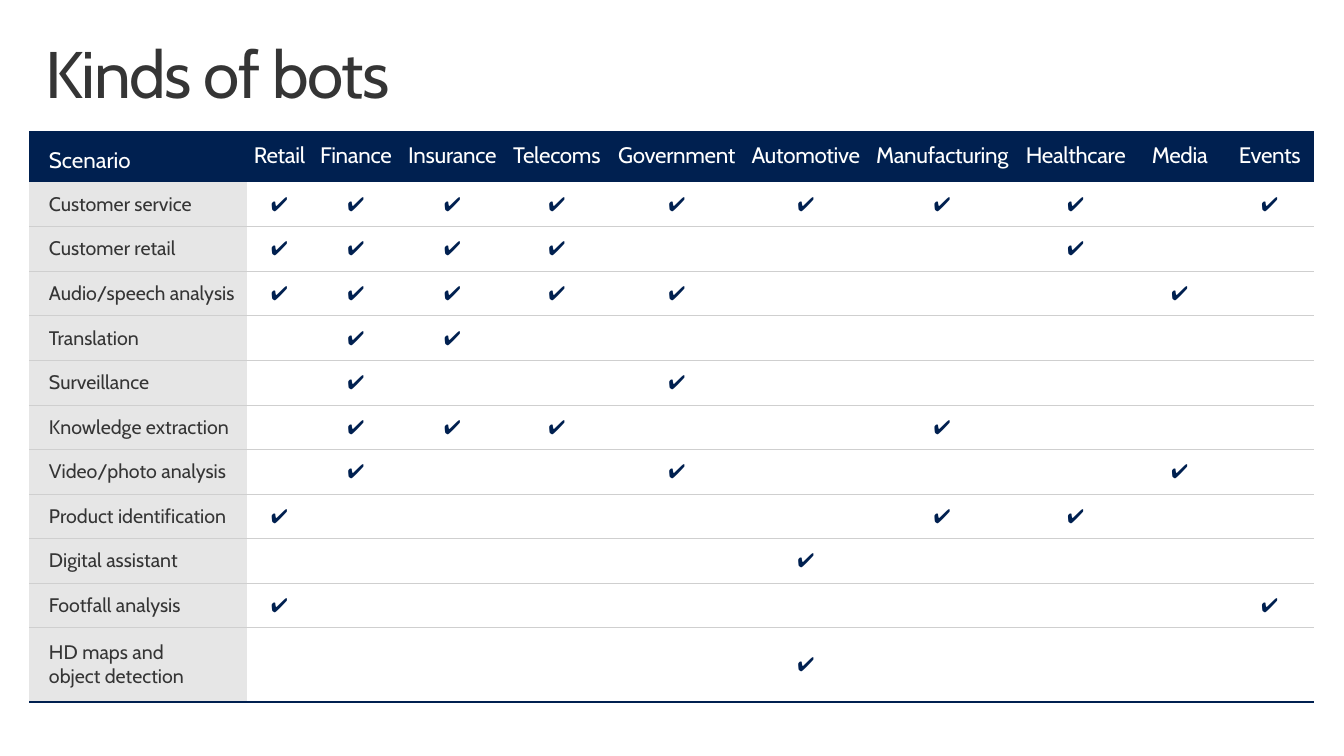
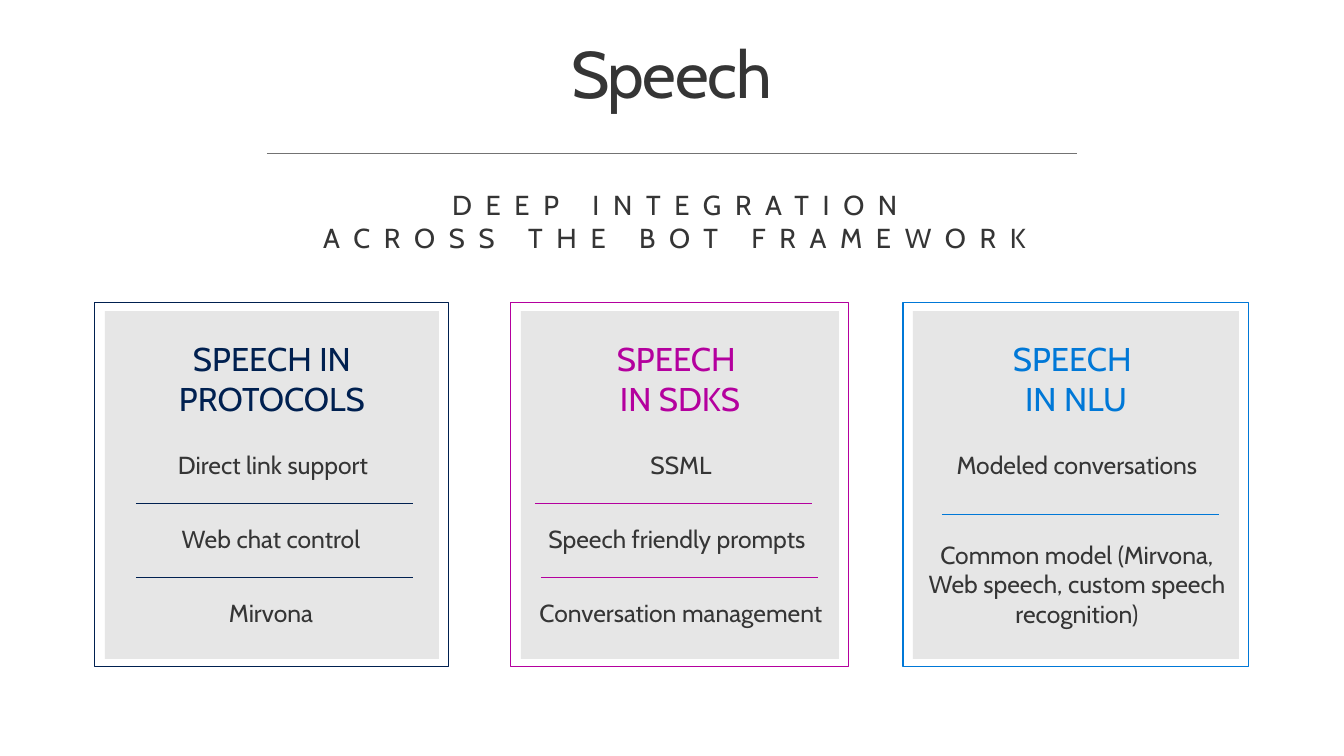
from dataclasses import dataclass

from lxml.etree import SubElement
from pptx import Presentation
from pptx.dml.color import RGBColor
from pptx.enum.shapes import MSO_CONNECTOR as Connector, MSO_SHAPE as Preset
from pptx.enum.text import MSO_ANCHOR as Anchor, MSO_AUTO_SIZE as AutoSize, PP_ALIGN as Align
from pptx.oxml.ns import qn
from pptx.util import Pt

EMU_PER_PX = 12192000 / 1344
FONT = "Cabin"
NAVY, MAGENTA, BLUE = "002050", "B4009E", "0078D7"
INK, PANEL, GRID, GRAY, WHITE = "353535", "E6E6E6", "CFCFCF", "737373", "FFFFFF"
NO_GRID_STYLE = "{2D5ABB26-0587-4C30-8999-92F81FD0307C}"

CHECK = "✔"
COLUMNS = [
    ("Scenario", 218), ("Retail", 65), ("Finance", 88), ("Insurance", 105),
    ("Telecoms", 104), ("Government", 136), ("Automotive", 122),
    ("Manufacturing", 151), ("Healthcare", 116), ("Media", 92), ("Events", 88),
]
SCENARIOS = [
    ("Customer service", "Retail Finance Insurance Telecoms Government Automotive "
                         "Manufacturing Healthcare Events"),
    ("Customer retail", "Retail Finance Insurance Telecoms Healthcare"),
    ("Audio/speech analysis", "Retail Finance Insurance Telecoms Government Media"),
    ("Translation", "Finance Insurance"),
    ("Surveillance", "Finance Government"),
    ("Knowledge extraction", "Finance Insurance Telecoms Manufacturing"),
    ("Video/photo analysis", "Finance Government Media"),
    ("Product identification", "Retail Manufacturing Healthcare"),
    ("Digital assistant", "Automotive"),
    ("Footfall analysis", "Retail Events"),
    ("HD maps and\vobject detection", "Automotive"),
]


@dataclass
class Card:
    left: int
    width: int
    color: str
    heading: str
    items: list
    rules: list


CARDS = [
    Card(95, 354, NAVY, "SPEECH IN PROTOCOLS",
         [(273, 434, "Direct link support"), (271, 508, "Web chat control"), (271, 582, "Mirvona")],
         [(136, 503), (136, 577)]),
    Card(511, 338, MAGENTA, "SPEECH \vIN SDKS",
         [(681, 434, "SSML"), (677, 508, "Speech friendly prompts"),
          (681, 582, "Conversation management")],
         [(535, 503), (541, 577)]),
    Card(903, 346, BLUE, "SPEECH \vIN NLU",
         [(1077, 434, "Modeled conversations"),
          (1077, 553, "Common model (Mirvona, Web speech, custom speech recognition)")],
         [(942, 514)]),
]


def px(length):
    return round(length * EMU_PER_PX)


def rgb(color):
    return RGBColor.from_string(color)


def format_text(text_frame, size, color, align=Align.LEFT, spacing=0):
    for paragraph in text_frame.paragraphs:
        paragraph.alignment = align
        for run in paragraph.runs:
            run.font.name = FONT
            run.font.size = Pt(size)
            run.font.color.rgb = rgb(color)
            if spacing:
                run.font._element.set("spc", str(round(spacing * 100)))


def set_margins(target, left, top, right, bottom):
    target.margin_left, target.margin_top = px(left), px(top)
    target.margin_right, target.margin_bottom = px(right), px(bottom)


def add_titled_slide(presentation, text, align):
    slide = presentation.slides.add_slide(presentation.slide_layouts[5])
    title = slide.shapes.title
    title.left, title.top, title.width, title.height = px(29), px(32), px(1285), px(99)
    text_frame = title.text_frame
    text_frame.text = text
    text_frame.auto_size = AutoSize.NONE
    text_frame.vertical_anchor = Anchor.TOP
    set_margins(text_frame, 16, 10, 16, 10)
    text_frame.paragraphs[0].line_spacing = 0.9
    format_text(text_frame, 47, INK, align, -1)
    return slide


def add_label(shapes, left, top, width, height, text, size, color, spacing=0):
    box = shapes.add_textbox(px(left), px(top), px(width), px(height))
    text_frame = box.text_frame
    text_frame.word_wrap = True
    text_frame.vertical_anchor = Anchor.MIDDLE
    text_frame.text = text
    format_text(text_frame, size, color, Align.CENTER, spacing)
    return text_frame


def add_rule(shapes, left, top, width, color, weight):
    rule = shapes.add_connector(Connector.STRAIGHT, px(left), px(top), px(left + width), px(top))
    rule.line.color.rgb = rgb(color)
    rule.line.width = Pt(weight)
    SubElement(rule._element.spPr, qn("a:effectLst"))


def add_box(shapes, left, top, width, height, fill=None, line=None):
    box = shapes.add_shape(Preset.RECTANGLE, px(left), px(top), px(width), px(height))
    box.shadow.inherit = False
    if fill:
        box.fill.solid()
        box.fill.fore_color.rgb = rgb(fill)
    else:
        box.fill.background()
    if line:
        box.line.color.rgb = rgb(line)
        box.line.width = Pt(0.75)
    else:
        box.line.fill.background()


def add_border(cell, edge, color, weight):
    line = SubElement(cell._tc.get_or_add_tcPr(), qn(f"a:ln{edge}"), w=str(Pt(weight)))
    SubElement(SubElement(line, qn("a:solidFill")), qn("a:srgbClr"), val=color)


def fill_cell(cell, text, size, color, fill=None, is_label=False, bottom=6, spacing=0):
    cell.text = text
    cell.vertical_anchor = Anchor.MIDDLE
    set_margins(cell, 20 if is_label else 4, 6, 4, bottom)
    format_text(cell.text_frame, size, color, Align.LEFT if is_label else Align.CENTER, spacing)
    if fill:
        cell.fill.solid()
        cell.fill.fore_color.rgb = rgb(fill)
    else:
        cell.fill.background()


def add_scenario_table(slide):
    header_height, body_height, last_height = px(51), px(446) // 10, px(74)
    row_count = len(SCENARIOS) + 1
    frame = slide.shapes.add_table(row_count, len(COLUMNS), px(29), px(131), px(1285), px(571))
    table = frame.table
    table._tbl.tblPr.find(qn("a:tableStyleId")).text = NO_GRID_STYLE
    table.horz_banding = False
    heights = [header_height] + [body_height] * (row_count - 2) + [last_height]
    for row, height in zip(table.rows, heights):
        row.height = height

    for index, (name, width) in enumerate(COLUMNS):
        table.columns[index].width = px(width)
        is_label = index == 0
        fill_cell(table.cell(0, index), name, 16, WHITE, NAVY, is_label, 8,
                  0 if is_label else -0.2)
    table.cell(0, 0).vertical_anchor = Anchor.BOTTOM

    for row, (scenario, sectors) in enumerate(SCENARIOS, 1):
        for index, (name, _) in enumerate(COLUMNS):
            cell = table.cell(row, index)
            if row > 1:
                add_border(cell, "T", GRID, 0.5)
            if row == len(SCENARIOS):
                add_border(cell, "B", NAVY, 1.5)
            else:
                add_border(cell, "B", GRID, 0.5)
            if index == 0:
                fill_cell(cell, scenario, 14, INK, PANEL, True)
            else:
                fill_cell(cell, CHECK if name in sectors.split() else "", 14, NAVY)


def add_card(slide, card):
    shapes = slide.shapes.add_group_shape().shapes
    inner_left, inner_width = card.left + 10, card.width - 20
    add_box(shapes, inner_left, 311, inner_width, 348, fill=PANEL)
    add_box(shapes, card.left, 303, card.width, 364, line=card.color)
    for center, top, text in card.items:
        add_label(shapes, center - 159, top, 318, 62, text, 17.6, INK)
    for left, top in card.rules:
        add_rule(shapes, left, top, 277, card.color, 0.25)
    add_label(shapes, inner_left, 317, inner_width, 123, card.heading, 23.5, card.color)


def add_speech_intro(slide):
    add_rule(slide.shapes, 267, 154, 810, GRAY, 0.75)
    text_frame = add_label(slide.shapes, 267, 157, 804, 128,
                           "DEEP INTEGRATION\nACROSS THE BOT FRAMEWORK", 19.6, INK, 9.8)
    set_margins(text_frame, 20, 4, 8, 4)


def main():
    presentation = Presentation()
    presentation.slide_width, presentation.slide_height = px(1344), px(756)

    add_scenario_table(add_titled_slide(presentation, "Kinds of bots", Align.LEFT))

    speech = add_titled_slide(presentation, "Speech", Align.CENTER)
    add_speech_intro(speech)
    for card in CARDS:
        add_card(speech, card)

    presentation.save("out.pptx")


if __name__ == "__main__":
    main()
